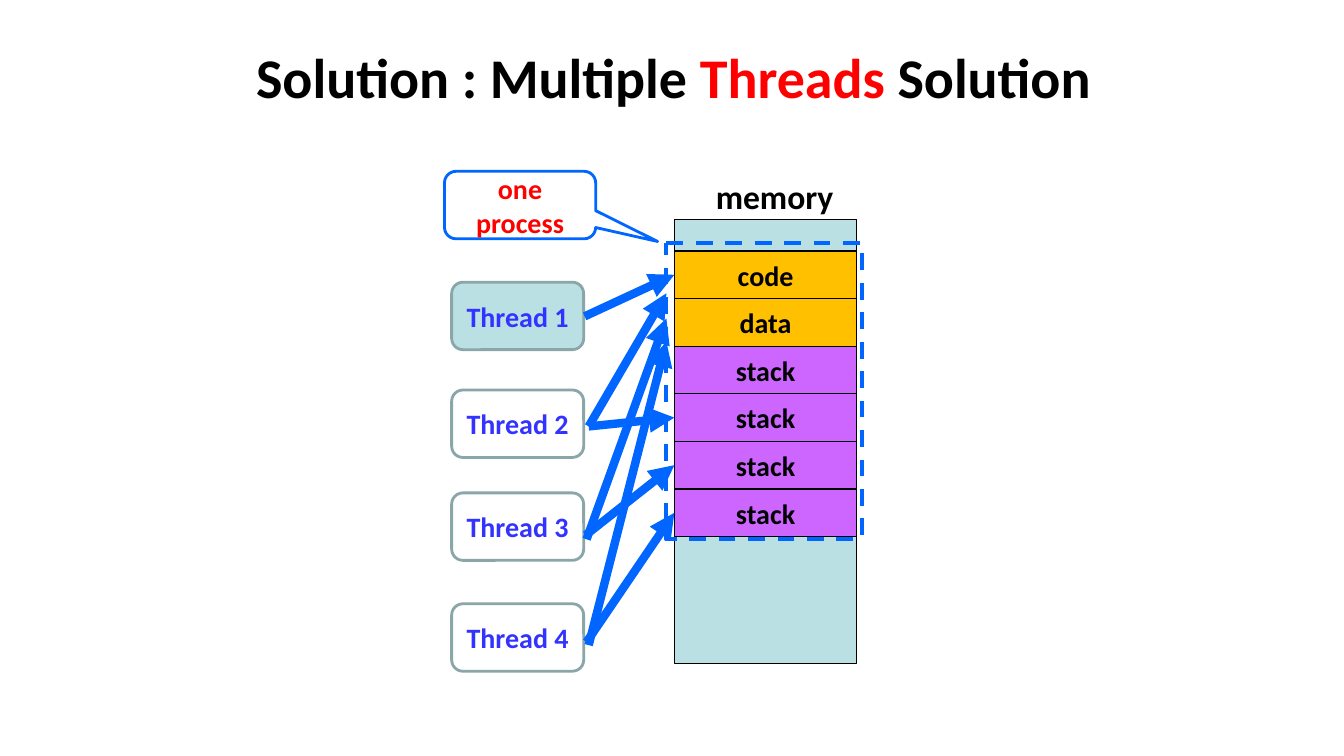
from lxml import etree
from pptx import Presentation
from pptx.dml.color import RGBColor
from pptx.enum.dml import MSO_LINE
from pptx.enum.shapes import MSO_CONNECTOR, MSO_SHAPE
from pptx.enum.text import MSO_ANCHOR, PP_ALIGN
from pptx.oxml.ns import qn
from pptx.util import Pt

RECT = MSO_SHAPE.RECTANGLE
THREAD = MSO_SHAPE.FLOWCHART_ALTERNATE_PROCESS
PROCESS = MSO_SHAPE.FLOWCHART_PROCESS
CALLOUT = MSO_SHAPE.ROUNDED_RECTANGULAR_CALLOUT
STRAIGHT = MSO_CONNECTOR.STRAIGHT
DASH = MSO_LINE.DASH
CENTER = PP_ALIGN.CENTER
MIDDLE = MSO_ANCHOR.MIDDLE
TOP = MSO_ANCHOR.TOP

COLORS = {
    "black": "000000",
    "red": "FF0000",
    "teal": "BBE0E3",
    "teal_edge": "8AA6A8",
    "amber": "FFC000",
    "violet": "CC66FF",
    "label": "3333FF",
    "blue": "0066FF",
}
FONT = {"name": "Calibri", "bold": True}

MEM_X, MEM_W = 481.7, 130.3
ROW_TOP, ROW_H = 179.3, 34
THREAD_X, THREAD_W, THREAD_H = 322.6, 94.3, 48.2
THREAD_TOPS = (201.6, 278.6, 352.1, 431.3)
SEGMENTS = [("code", "amber"), ("data", "amber")] + [("stack", "violet")] * 4


class Slide:
    def __init__(self, prs):
        self.s = prs.slides.add_slide(prs.slide_layouts[5])

    def color(self, name):
        return RGBColor.from_string(COLORS[name])

    def fill_text(self, tf, runs, size, anchor=MIDDLE, wrap=True):
        for key, value in {"word_wrap": wrap, "vertical_anchor": anchor}.items():
            setattr(tf, key, value)
        p = tf.paragraphs[0]
        p.alignment = CENTER
        for text, color in runs:
            r = p.add_run()
            r.text = text
            for key, value in {**FONT, "size": Pt(size)}.items():
                setattr(r.font, key, value)
            r.font.color.rgb = self.color(color)

    def title(self, box, runs):
        sp = self.s.shapes.title
        for key, value in zip(("left", "top", "width", "height"), box):
            setattr(sp, key, Pt(value))
        self.fill_text(sp.text_frame, runs, 40)

    def text(self, box, text, size):
        sp = self.s.shapes.add_textbox(*map(Pt, box))
        self.fill_text(sp.text_frame, [(text, "black")], size, TOP)

    def shape(self, kind, box, line, width, fill=None, dash=None):
        sp = self.s.shapes.add_shape(kind, *map(Pt, box))
        sp.shadow.inherit = False
        if fill:
            sp.fill.solid()
            sp.fill.fore_color.rgb = self.color(fill)
        else:
            sp.fill.background()
        sp.line.color.rgb = self.color(line)
        sp.line.width = Pt(width)
        if dash:
            sp.line.dash_style = dash
        return sp

    def label(self, sp, text, color, wrap=True):
        self.fill_text(sp.text_frame, [(text, color)], 20, wrap=wrap)

    def arrow(self, start, end):
        c = self.s.shapes.add_connector(STRAIGHT, *map(Pt, start + end))
        c.line.color.rgb = self.color("blue")
        c.line.width = Pt(6)
        sp_pr = c._element.spPr
        etree.SubElement(sp_pr.find(qn("a:ln")), qn("a:tailEnd"), type="triangle")
        etree.SubElement(sp_pr, qn("a:effectLst"))


def row_middle(row):
    return ROW_TOP + ROW_H * (row + 0.5)


def main():
    prs = Presentation()
    prs.slide_width, prs.slide_height = Pt(960), Pt(540)
    s = Slide(prs)

    s.title((49, 9.4, 864, 90), [("Solution : Multiple ", "black"),
                                 ("Threads", "red"), (" Solution", "black")])
    s.shape(RECT, (MEM_X, 156.5, MEM_W, 317.5), "black", 0.75, "teal")
    s.text((491, 122.4, 124.6, 36), "memory", 24)

    for row, (name, fill) in enumerate(SEGMENTS):
        box = (MEM_X, ROW_TOP + row * ROW_H, MEM_W, ROW_H)
        s.label(s.shape(RECT, box, "black", 0.75, fill), name, "black", wrap=False)

    for i, top in enumerate(THREAD_TOPS):
        box = (THREAD_X, top, THREAD_W, THREAD_H)
        sp = s.shape(THREAD, box, "teal_edge", 2, None if i else "teal")
        s.label(sp, f"Thread {i + 1}", "label")

    s.arrow((417.6, 226), (MEM_X, row_middle(0)))
    for start, y in (((420.5, 304.6), 209.5), ((419, 385.2), 227.5),
                     ((420.5, 460.8), 244)):
        s.arrow(start, (476, y))
    for row, start in enumerate(((420.5, 304.6), (418.3, 382.3), (419, 458.6)), 3):
        s.arrow(start, (MEM_X, row_middle(row)))

    s.shape(PROCESS, (476, 173.5, 139.7, 211.7), "blue", 3, dash=DASH)
    sp = s.shape(CALLOUT, (317.5, 122.4, 108, 48.2), "blue", 2)
    for i, value in enumerate((0.91, 0.54, 0.17)):
        sp.adjustments[i] = value
    s.label(sp, "one process", "red")

    prs.save("out.pptx")


if __name__ == "__main__":
    main()
